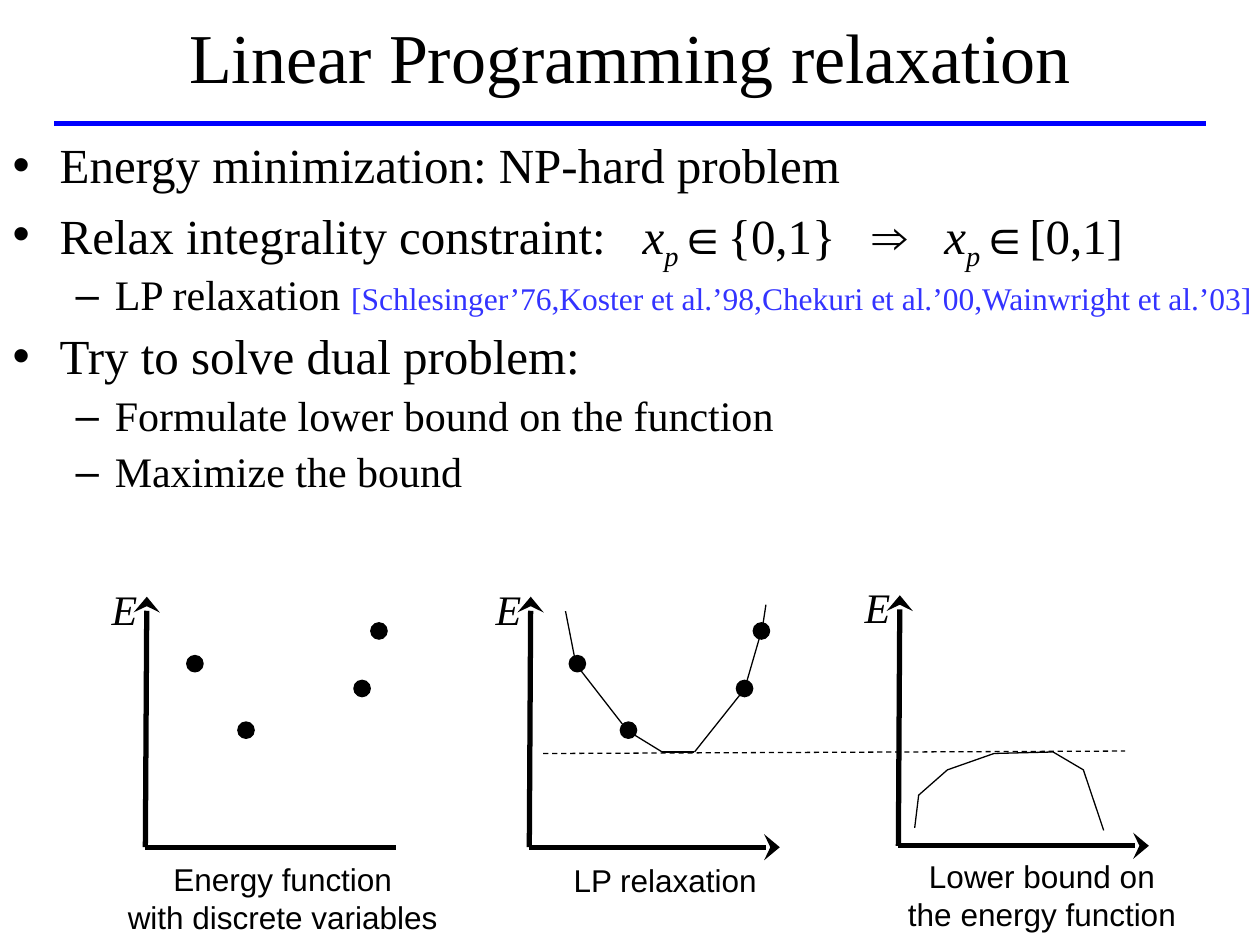
import itertools

import pptx
import pptx.dml.color
import pptx.enum.dml
import pptx.enum.shapes
import pptx.enum.text
import pptx.util
import lxml.etree
import pptx.oxml.ns

Cm = pptx.util.Cm
Pt = pptx.util.Pt
ALIGN = pptx.enum.text.PP_ALIGN
qn = pptx.oxml.ns.qn

THEME = {
    "serif": "Times New Roman", "sans": "Arial",
    "ink": "000000", "rule": "0000FF", "citation": "3333FF",
    "title": 40, "bullet": 28, "sub": 24, "axis": 24, "small": 18,
    "thick": 3, "thin": 0.75,
}

TITLE = "Linear Programming relaxation"
TITLE_AREA = (1.27, -0.48, 22.86, 3.18)
BODY_AREA = (0, 2.72, 26.67, 7.87)

GAP = (" ", {"spacing": 14})
VARIABLE = [("x", {"italic": True}), ("p", {"italic": True, "baseline": -25}),
            ("∈", {"font": THEME["sans"]})]
CITATION = "[Schlesinger’76,Koster et al.’98,Chekuri et al.’00,Wainwright et al.’03]"
BULLETS = [
    (0, 7, ["Energy minimization: NP-hard problem"]),
    (0, 7, ["Relax integrality constraint:", GAP, *VARIABLE, "{0,1}", GAP,
            ("⇒", {"font": THEME["sans"]}), GAP, *VARIABLE, "[0,1]"]),
    (1, 4.5, ["LP relaxation ",
              (CITATION, {"size": THEME["small"], "color": THEME["citation"]})]),
    (0, 7, ["Try to solve dual problem:"]),
    (1, 6, ["Formulate lower bound on the function"]),
    (1, 6, ["Maximize the bound"]),
]
LEVELS = [
    {"size": THEME["bullet"], "bullet": "•", "left": 0.95, "hang": 0.95},
    {"size": THEME["sub"], "bullet": "–", "left": 2.06, "hang": 0.79},
]

PLOTS = [
    {"origin": (2.93, 17.08), "arrow": False, "area": (2.2, 17.21, 7, 1.78),
     "caption": ["Energy function", "with discrete variables"]},
    {"origin": (10.67, 17.08), "arrow": True, "area": (11.16, 17.23, 4.5, 1.02),
     "caption": ["LP relaxation"]},
    {"origin": (18.11, 17.05), "arrow": True, "area": (17.86, 17.15, 6.29, 1.78),
     "caption": ["Lower bound on", "the energy function"]},
]
AXIS_LENGTH = 5.05
DOTS = [(4.96, 14.72), (7.3, 13.88), (3.93, 13.38), (7.64, 12.72)]
DOT_SHIFTS = [0, 7.71]
DOT_SIZE = 0.33
CONVEX = [(11.4, 12.32), (11.61, 13.39), (12.65, 14.73), (13.35, 15.16),
          (14, 15.16), (15.01, 13.89), (15.37, 12.65), (15.44, 12.19)]
CONCAVE = [(18.44, 16.69), (18.52, 16.03), (19.1, 15.52), (20.04, 15.19),
           (21.23, 15.16), (21.84, 15.52), (22.25, 16.74)]
BOUND = [(10.95, 15.19), (22.68, 15.14)]
RULE = [(1.09, 2.49), (24.31, 2.49)]


def rgb(color):
    return pptx.dml.color.RGBColor.from_string(color)


def lengths(values):
    return [Cm(value) for value in values]


def write(para, runs, size, font=THEME["serif"], color=THEME["ink"],
          italic=False, align=None):
    para.alignment = align
    for run in runs:
        text, own = (run, {}) if isinstance(run, str) else run
        span = para.add_run()
        span.text = text
        span.font.size = Pt(own.get("size", size))
        span.font.name = own.get("font", font)
        span.font.italic = own.get("italic", italic)
        span.font.color.rgb = rgb(own.get("color", color))
        properties = span.font._element
        if "baseline" in own:
            properties.set("baseline", str(own["baseline"] * 1000))
        if "spacing" in own:
            properties.set("spc", str(own["spacing"] * 100))


def add_label(page, area, lines, **style):
    frame = page.shapes.add_textbox(*lengths(area)).text_frame
    frame.word_wrap = False
    frame.auto_size = pptx.enum.text.MSO_AUTO_SIZE.SHAPE_TO_FIT_TEXT
    for index, line in enumerate(lines):
        para = frame.add_paragraph() if index else frame.paragraphs[0]
        write(para, [line], **style)


def add_line(page, start, end, width, color=THEME["ink"], dash=None, arrow=False):
    line = page.shapes.add_connector(
        pptx.enum.shapes.MSO_CONNECTOR.STRAIGHT, *lengths(start + end))
    line.line.color.rgb = rgb(color)
    line.line.width = Pt(width)
    if dash:
        line.line.dash_style = dash
    if arrow:
        outline = line.line._get_or_add_ln()
        lxml.etree.SubElement(outline, qn("a:tailEnd"), type="stealth", w="lg")
    lxml.etree.SubElement(line._element.spPr, qn("a:effectLst"))


def add_plot(page, origin, arrow, area, caption):
    x, y = origin
    add_line(page, origin, (x + AXIS_LENGTH, y), THEME["thick"], arrow=arrow)
    add_line(page, origin, (x + 0.03, y - AXIS_LENGTH), THEME["thick"], arrow=True)
    add_label(page, (x - 0.93, y - 5.45, 1.02, 1.27), ["E"],
              size=THEME["axis"], italic=True)
    add_label(page, area, caption, size=THEME["small"], font=THEME["sans"],
              align=ALIGN.CENTER)


def add_dot(page, x, y):
    dot = page.shapes.add_shape(
        pptx.enum.shapes.MSO_SHAPE.OVAL,
        *lengths((x - DOT_SIZE / 2, y - DOT_SIZE / 2, DOT_SIZE, DOT_SIZE)))
    dot.shadow.inherit = False
    dot.fill.solid()
    dot.fill.fore_color.rgb = rgb(THEME["ink"])
    dot.line.color.rgb = rgb(THEME["ink"])
    dot.line.width = Pt(THEME["thin"])


def add_curve(page, points):
    start, *rest = [lengths(point) for point in points]
    builder = page.shapes.build_freeform(*start)
    builder.add_line_segments(rest, close=False)
    curve = builder.convert_to_shape()
    curve.shadow.inherit = False
    curve.fill.background()
    curve.line.color.rgb = rgb(THEME["ink"])
    curve.line.width = Pt(THEME["thin"])


def place(holder, area):
    holder.left, holder.top, holder.width, holder.height = lengths(area)
    holder.text_frame.auto_size = pptx.enum.text.MSO_AUTO_SIZE.NONE
    return holder.text_frame


def fill_body(frame):
    for index, (level, before, runs) in enumerate(BULLETS):
        para = frame.add_paragraph() if index else frame.paragraphs[0]
        look = LEVELS[level]
        para.level = level
        para.line_spacing = 0.9
        para.space_before = Pt(before)
        write(para, runs, size=look["size"], align=ALIGN.LEFT)
        properties = para._p.get_or_add_pPr()
        properties.set("marL", str(Cm(look["left"])))
        properties.set("indent", str(-Cm(look["hang"])))
        lxml.etree.SubElement(properties, qn("a:buChar"), char=look["bullet"])


def main():
    deck = pptx.Presentation()
    deck.slide_width, deck.slide_height = Cm(25.4), Cm(19.05)
    page = deck.slides.add_slide(deck.slide_layouts[1])

    heading = place(page.shapes.title, TITLE_AREA)
    heading.vertical_anchor = pptx.enum.text.MSO_ANCHOR.MIDDLE
    write(heading.paragraphs[0], [TITLE], size=THEME["title"], align=ALIGN.CENTER)
    fill_body(place(page.placeholders[1], BODY_AREA))
    add_line(page, *RULE, THEME["thick"], color=THEME["rule"])

    for plot in PLOTS:
        add_plot(page, **plot)
    for shift, (x, y) in itertools.product(DOT_SHIFTS, DOTS):
        add_dot(page, x + shift, y)
    for start, end in itertools.pairwise(CONVEX):
        add_line(page, start, end, THEME["thin"])
    add_curve(page, CONCAVE)
    add_line(page, *BOUND, THEME["thin"], dash=pptx.enum.dml.MSO_LINE.DASH)

    deck.save("out.pptx")


if __name__ == "__main__":
    main()
